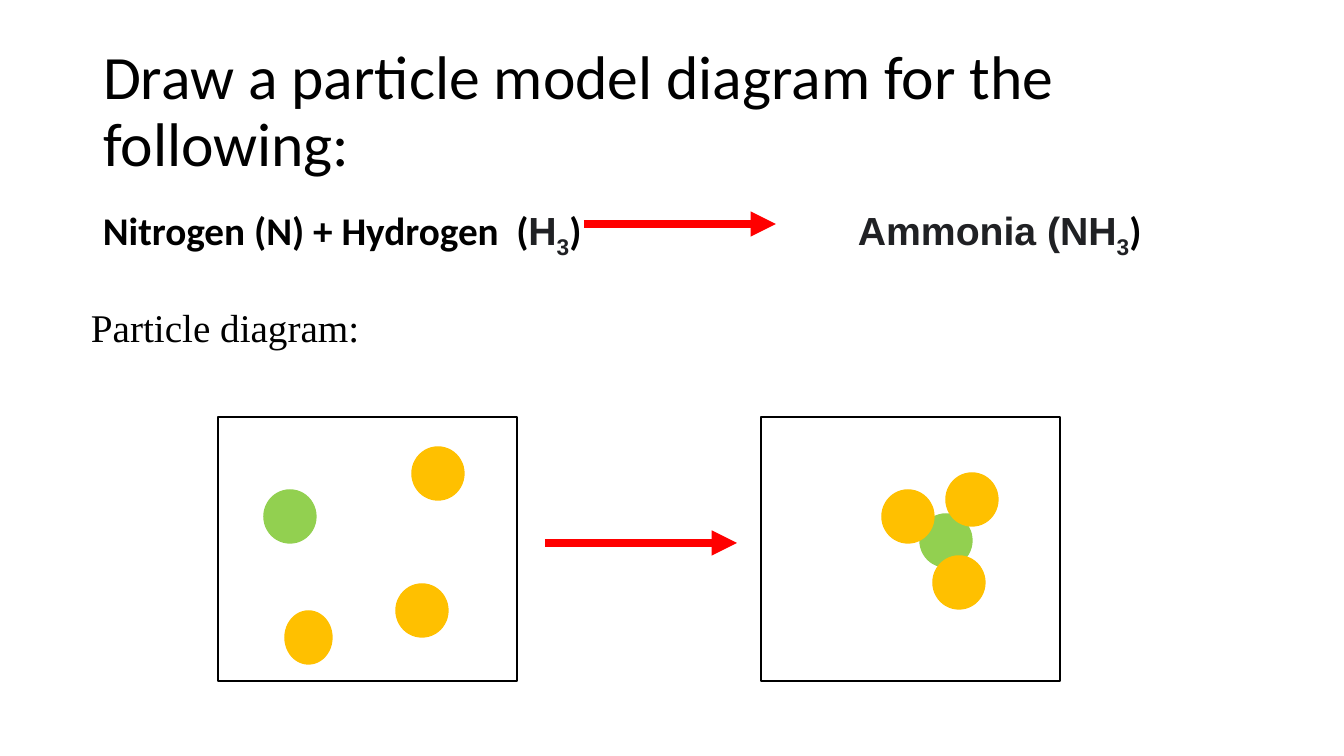
import dataclasses

import lxml.etree
import pptx
import pptx.dml.color
import pptx.enum.shapes
import pptx.enum.text
import pptx.oxml.ns
import pptx.util

PX = 914400 / 100.8
SLIDE = (1344, 756)


@dataclasses.dataclass(frozen=True)
class Theme:
    """Colours, fonts and sizes of the slide."""

    ink: str = "000000"
    formula: str = "202124"
    paper: str = "FFFFFF"
    arrow: str = "FF0000"
    nitrogen: str = "92D050"
    hydrogen: str = "FFC000"
    main: str = "Calibri"
    symbol: str = "Arial"
    label: str = "Times New Roman"
    title_size: int = 44
    text_size: int = 28


THEME = Theme()


def px(*lengths):
    """Turn pixel lengths into EMU."""
    return [pptx.util.Emu(round(length * PX)) for length in lengths]


def rgb(colour):
    """Return the colour object for a hex value."""
    return pptx.dml.color.RGBColor.from_string(colour)


def add_element(parent, tag, **attributes):
    """Append a DrawingML element with the given attributes."""
    return lxml.etree.SubElement(parent, pptx.oxml.ns.qn(tag), attributes)


def add_run(paragraph, text, colour, **formats):
    """Add a run and apply its font formats."""
    run = paragraph.add_run()
    run.text = text
    for name, value in formats.items():
        setattr(run.font, name, value)
    run.font.color.rgb = rgb(colour)
    return run


def format_frame(frame, **formats):
    """Apply wrapping and other formats to a text frame."""
    formats = {"word_wrap": True, "auto_size": pptx.enum.text.MSO_AUTO_SIZE.NONE, **formats}
    for name, value in formats.items():
        setattr(frame, name, value)
    return frame.paragraphs[0]


def place_title(slide, box):
    """Place the slide title in the box."""
    title = slide.shapes.title
    for name, value in zip(("left", "top", "width", "height"), px(*box)):
        setattr(title, name, value)
    paragraph = format_frame(title.text_frame, vertical_anchor=pptx.enum.text.MSO_ANCHOR.MIDDLE)
    paragraph.alignment = pptx.enum.text.PP_ALIGN.LEFT
    paragraph.line_spacing = 0.9
    add_run(paragraph, "Draw a particle model diagram for the following:", THEME.ink,
            name=THEME.main, size=pptx.util.Pt(THEME.title_size))


def add_arrow(slide, left, middle):
    """Draw a reaction arrow pointing right."""
    arrow = slide.shapes.add_connector(
        pptx.enum.shapes.MSO_CONNECTOR.STRAIGHT, *px(left, middle, left + 192, middle))
    arrow.line.color.rgb = rgb(THEME.arrow)
    arrow.line.width = pptx.util.Pt(6)
    add_element(arrow.line._get_or_add_ln(), "a:tailEnd", type="triangle")
    add_element(arrow._element.spPr, "a:effectLst")


def place_equation(slide, box):
    """Write the word equation with its arrow in the box."""
    left, top = box[:2]
    paragraph = format_frame(slide.shapes.add_textbox(*px(*box)).text_frame)
    tabs = add_element(paragraph._p.get_or_add_pPr(), "a:tabLst")
    add_element(tabs, "a:tab", pos=str(px(755)[0]), algn="l")
    paragraph.line_spacing = 0.9
    words = (THEME.ink, THEME.main, 0)
    symbols = (THEME.formula, THEME.symbol, 0)
    subscript = (THEME.formula, THEME.symbol, -25000)
    for text, (colour, font, baseline) in (
            ("Nitrogen (N) + Hydrogen  (", words), ("H", symbols), ("3", subscript),
            (")\t", words), ("Ammonia (NH", symbols), ("3", subscript), (")", words)):
        run = add_run(paragraph, text, colour, name=font, bold=True,
                      size=pptx.util.Pt(THEME.text_size))
        if baseline:
            run._r.get_or_add_rPr().set("baseline", str(baseline))
    add_arrow(slide, left + 491, top + 22)


def place_label(slide, box):
    """Write the diagram label in the box."""
    paragraph = format_frame(slide.shapes.add_textbox(*px(*box)).text_frame)
    add_run(paragraph, "Particle diagram:", THEME.ink, name=THEME.label,
            size=pptx.util.Pt(THEME.text_size))


def add_outline(slide, kind, box, fill, line):
    """Add a flat filled shape with a thin line."""
    shape = slide.shapes.add_shape(kind, *px(*box))
    shape.shadow.inherit = False
    shape.fill.solid()
    shape.fill.fore_color.rgb = rgb(fill)
    shape.line.color.rgb = rgb(line)
    shape.line.width = pptx.util.Pt(1)


def place_particles(slide, box, particles):
    """Draw a framed box of particles given by offset, width and colour."""
    left, top = box[:2]
    kinds = pptx.enum.shapes.MSO_SHAPE
    add_outline(slide, kinds.RECTANGLE, box, THEME.paper, THEME.ink)
    for across, down, width, colour in particles:
        add_outline(slide, kinds.OVAL, (left + across, top + down, width, 53), colour, colour)


def place_diagram(slide, box):
    """Draw reactants, arrow and product across the box."""
    left, top, width, height = box
    frame_width = 299
    nitrogen, hydrogen = THEME.nitrogen, THEME.hydrogen
    reactants = ((46, 73, 52, nitrogen), (194, 30, 52, hydrogen),
                 (178, 167, 52, hydrogen), (67, 194, 47, hydrogen))
    product = ((159, 97, 52, nitrogen), (185, 56, 52, hydrogen),
               (121, 73, 52, hydrogen), (172, 139, 52, hydrogen))
    place_particles(slide, (left, top, frame_width, height), reactants)
    place_particles(slide, (left + width - frame_width, top, frame_width, height), product)
    add_arrow(slide, left + 327, top + 126)


def main():
    """Build and save the slide."""
    presentation = pptx.Presentation()
    presentation.slide_width, presentation.slide_height = px(*SLIDE)
    slide = presentation.slides.add_slide(presentation.slide_layouts[5])
    place_title(slide, (93, 40, 1159, 146))
    place_equation(slide, (93, 202, 1159, 62))
    place_label(slide, (81, 298, 306, 57))
    place_diagram(slide, (218, 417, 842, 264))
    presentation.save("out.pptx")


if __name__ == "__main__":
    main()
